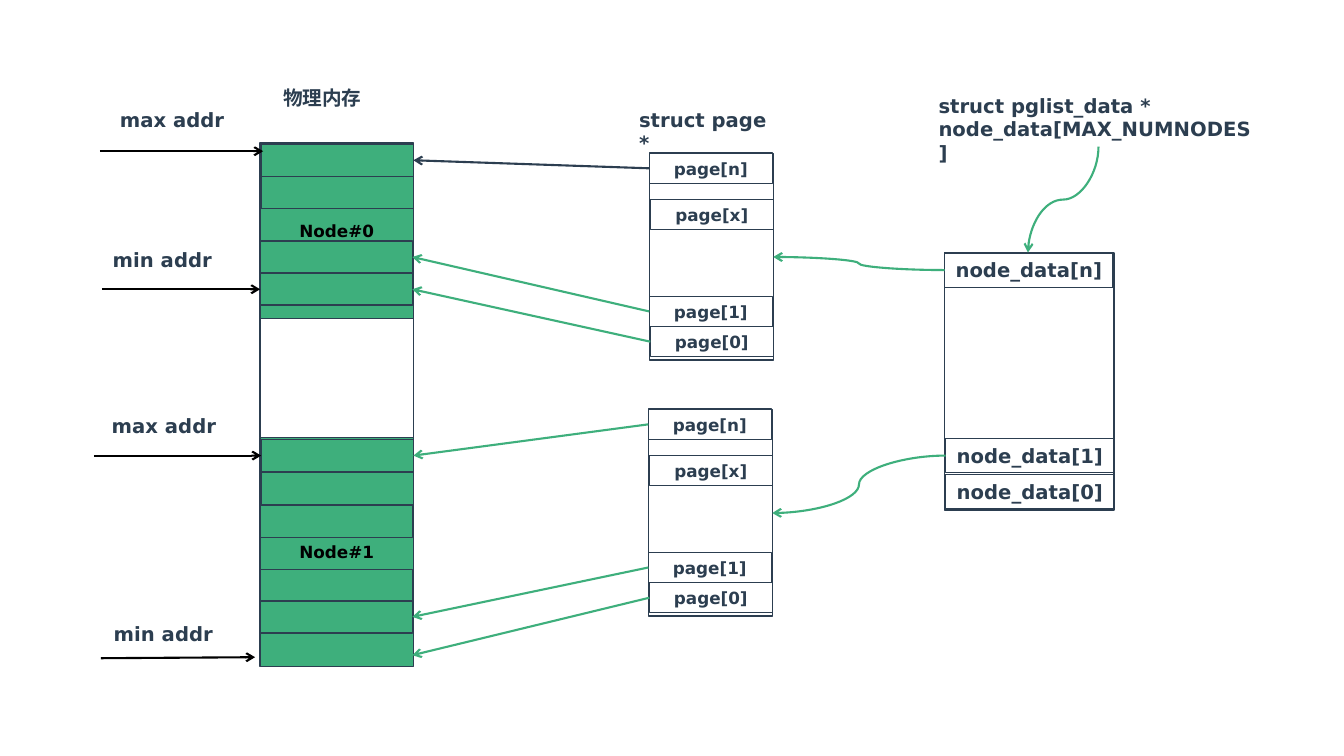
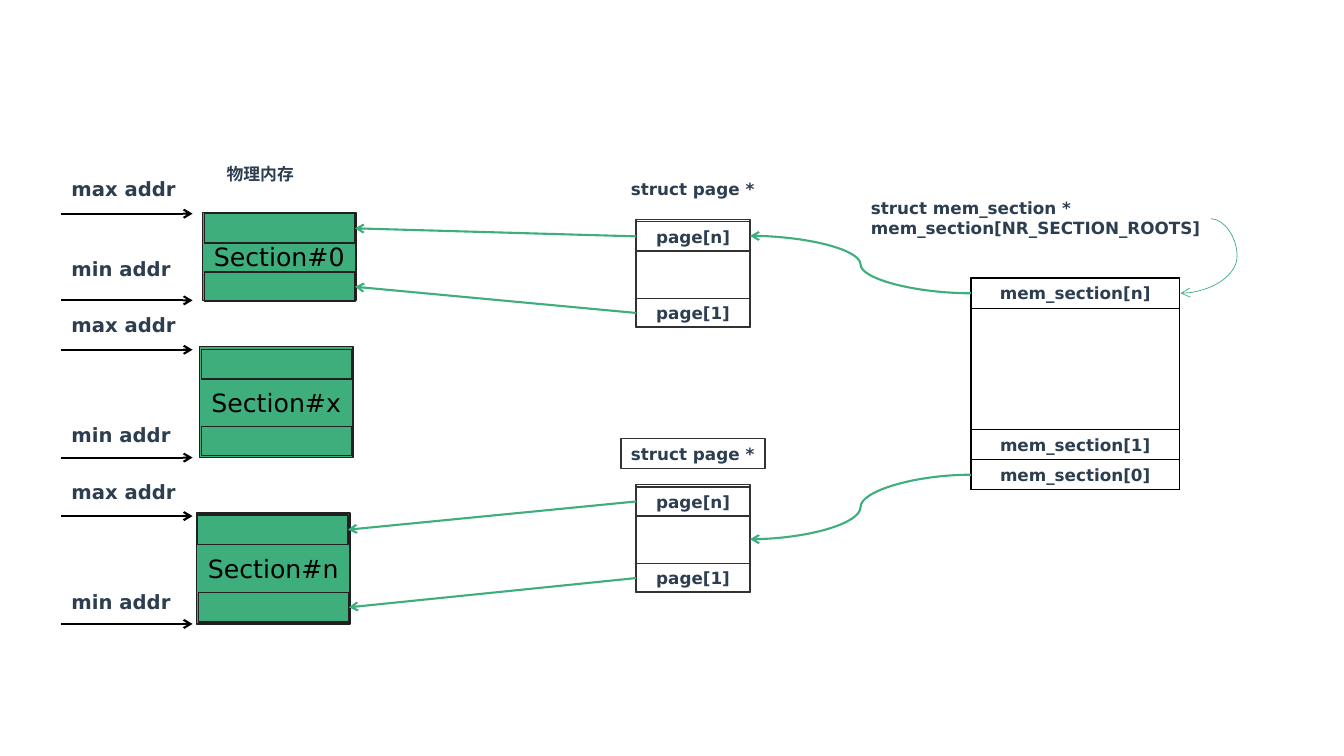
from dataclasses import dataclass
from typing import NamedTuple, Optional, Union

from lxml import etree
from pptx import Presentation
from pptx.dml.color import RGBColor
from pptx.enum.shapes import MSO_CONNECTOR, MSO_SHAPE
from pptx.enum.text import MSO_ANCHOR, MSO_AUTO_SIZE, PP_ALIGN
from pptx.oxml.ns import qn
from pptx.shapes.autoshape import Shape
from pptx.shapes.connector import Connector
from pptx.slide import Slide
from pptx.util import Inches, Pt

RECTANGLE = MSO_SHAPE.RECTANGLE
STRAIGHT, CURVE = MSO_CONNECTOR.STRAIGHT, MSO_CONNECTOR.CURVE
LEFT, CENTER = PP_ALIGN.LEFT, PP_ALIGN.CENTER
TOP, MIDDLE = MSO_ANCHOR.TOP, MSO_ANCHOR.MIDDLE
FIT_SHAPE = MSO_AUTO_SIZE.SHAPE_TO_FIT_TEXT
LEFT_SIDE, RIGHT_SIDE = 1, 3


@dataclass(frozen=True)
class Theme:
    font: str = "DejaVu Sans"
    green: str = "3EAF7C"
    navy: str = "2C3E50"
    black: str = "000000"
    charcoal: str = "202020"
    gray: str = "323232"
    small: float = 12
    medium: float = 14
    large: float = 18
    outline: float = 1
    arrow: float = 1.5
    thin_arrow: float = 0.5


THEME = Theme()


class Point(NamedTuple):
    x: float
    y: float


class Joint(NamedTuple):
    shape: Shape
    side: int


class Frame(NamedTuple):
    left: float
    top: float
    width: float
    height: float


class Row(NamedTuple):
    """A cell placed relative to the corner of its stack."""
    dx: float
    dy: float
    text: str = ""


@dataclass(frozen=True)
class Stack:
    """An outer rectangle with cells of one size inside it."""
    frame: Frame
    rows: tuple[Row, ...]
    row_width: float
    row_height: float
    line: str = THEME.navy
    row_size: float = THEME.small
    fill: Optional[str] = None
    title: str = ""
    title_size: float = THEME.small
    title_bold: bool = True


class Label(NamedTuple):
    text: str
    frame: Frame
    size: float = THEME.medium
    wrap: bool = True
    line: Optional[str] = None


# Shared drawing functions
def rgb(color: str) -> RGBColor:
    return RGBColor.from_string(color)


def write_text(shape: Shape, text: str, *, size: float, color: str = THEME.navy,
               bold: bool = True, align: PP_ALIGN = CENTER,
               anchor: MSO_ANCHOR = MIDDLE, wrap: bool = True) -> None:
    text_frame = shape.text_frame
    text_frame.word_wrap = wrap
    text_frame.vertical_anchor = anchor
    for index, line in enumerate(text.split("\n")):
        paragraph = text_frame.add_paragraph() if index else text_frame.paragraphs[0]
        paragraph.alignment = align
        run = paragraph.add_run()
        run.text = line
        run.font.name = THEME.font
        run.font.size = Pt(size)
        run.font.bold = bold
        run.font.color.rgb = rgb(color)


def add_box(slide: Slide, frame: Frame, line: str, fill: Optional[str] = None) -> Shape:
    shape = slide.shapes.add_shape(RECTANGLE, *map(Inches, frame))
    shape.shadow.inherit = False
    if fill:
        shape.fill.solid()
        shape.fill.fore_color.rgb = rgb(fill)
    else:
        shape.fill.background()
    shape.line.color.rgb = rgb(line)
    shape.line.width = Pt(THEME.outline)
    return shape


def add_stack(slide: Slide, stack: Stack) -> list[Shape]:
    body = add_box(slide, stack.frame, stack.line, stack.fill)
    if stack.title:
        write_text(body, stack.title, size=stack.title_size, color=THEME.black,
                   bold=stack.title_bold)
    cells = []
    for row in stack.rows:
        frame = Frame(stack.frame.left + row.dx, stack.frame.top + row.dy,
                      stack.row_width, stack.row_height)
        cell = add_box(slide, frame, stack.line)
        if row.text:
            write_text(cell, row.text, size=stack.row_size)
        cells.append(cell)
    return cells


def add_label(slide: Slide, label: Label) -> None:
    shape = slide.shapes.add_textbox(*map(Inches, label.frame))
    write_text(shape, label.text, size=label.size, align=LEFT, anchor=TOP,
               wrap=label.wrap)
    shape.text_frame.auto_size = FIT_SHAPE
    if label.line:
        shape.line.color.rgb = rgb(label.line)
        shape.line.width = Pt(THEME.outline)


def style_arrow(connector: Connector, color: str, width: float) -> None:
    connector.line.color.rgb = rgb(color)
    connector.line.width = Pt(width)
    line = connector.line._get_or_add_ln()
    etree.SubElement(line, qn("a:tailEnd"), type="arrow")
    etree.SubElement(connector._element.spPr, qn("a:effectLst"))


def add_arrow(slide: Slide, start: Union[Point, Joint], end: Union[Point, Joint],
              color: str = THEME.green) -> None:
    origin = Point(0, 0)
    begin_point = start if isinstance(start, Point) else origin
    end_point = end if isinstance(end, Point) else origin
    connector = slide.shapes.add_connector(
        STRAIGHT, *map(Inches, (*begin_point, *end_point)))
    if isinstance(start, Joint):
        connector.begin_connect(start.shape, start.side)
    if isinstance(end, Joint):
        connector.end_connect(end.shape, end.side)
    style_arrow(connector, color, THEME.arrow)


def add_curve(slide: Slide, start: Point, end: Point, *, bend: float = 0.5,
              rotation: int = 0, width: float = THEME.arrow) -> None:
    """Start and end are the corners before the curve is rotated."""
    connector = slide.shapes.add_connector(CURVE, *map(Inches, (*start, *end)))
    properties = connector._element.spPr
    if rotation:
        properties.find(qn("a:xfrm")).set("rot", str(rotation * 60000))
    geometry = properties.find(qn("a:prstGeom"))
    adjustments = geometry.find(qn("a:avLst"))
    if adjustments is None:
        adjustments = etree.SubElement(geometry, qn("a:avLst"))
    etree.SubElement(adjustments, qn("a:gd"), name="adj1",
                     fmla=f"val {round(bend * 100000)}")
    style_arrow(connector, THEME.green, width)


def join_cells(slide: Slide, source: Shape, target: Shape,
               color: str = THEME.green) -> None:
    add_arrow(slide, Joint(source, LEFT_SIDE), Joint(target, RIGHT_SIDE), color)


# Slide 1: memory nodes
def build_nodes(slide: Slide) -> None:
    def memory_node(top: float, height: float, title: str, rows: tuple[Row, ...]) -> Stack:
        return Stack(Frame(2.58, top, 1.52, height), rows, 1.51, 0.32,
                     fill=THEME.green, title=title)

    node_0 = add_stack(slide, memory_node(1.42, 1.74, "Node#0", (
        Row(0.01, 0.01), Row(0.01, 0.33), Row(0, 0.97), Row(0, 1.29))))
    add_box(slide, Frame(2.58, 3.02, 1.52, 1.32), THEME.navy)
    node_1 = add_stack(slide, memory_node(4.34, 2.27, "Node#1", (
        Row(0.01, 0.02), Row(0.01, 0.35), Row(0, 0.67), Row(0, 1.31), Row(0, 1.62))))

    # Page tables and node table
    page_rows = (Row(0, 0, "page[n]"), Row(0.01, 0.46, "page[x]"),
                 Row(0, 1.42, "page[1]"), Row(0.01, 1.72, "page[0]"))
    pages_0, pages_1 = (
        add_stack(slide, Stack(Frame(left, top, 1.23, 2.05), page_rows, 1.22, 0.3))
        for left, top in ((6.44, 1.52), (6.43, 4.06)))
    add_stack(slide, Stack(
        Frame(9.37, 2.51, 1.68, 2.55),
        (Row(0, 0, "node_data[n]"), Row(0.01, 1.84, "node_data[1]"),
         Row(0.01, 2.2, "node_data[0]")),
        1.67, 0.34, row_size=THEME.medium))

    # Labels
    for label in (
        Label("物理内存", Frame(2.71, 0.8, 1.26, 0.34)),
        Label("max addr", Frame(1.09, 1.02, 1.49, 0.34)),
        Label("min addr", Frame(1.02, 2.41, 1.57, 0.34)),
        Label("max addr", Frame(1.01, 4.06, 1.49, 0.34)),
        Label("min addr", Frame(1.03, 6.12, 1.57, 0.34)),
        Label("struct page *", Frame(6.24, 1.02, 1.5, 0.34)),
        Label("struct pglist_data *\nnode_data[MAX_NUMNODES]",
              Frame(9.21, 0.88, 3.38, 0.57)),
    ):
        add_label(slide, label)

    # Address arrows
    for start, end in (
        (Point(0.99, 1.5), Point(2.61, 1.5)),
        (Point(1.01, 2.87), Joint(node_0[3], LEFT_SIDE)),
        (Point(0.93, 4.52), Joint(node_1[0], LEFT_SIDE)),
        (Point(1, 6.53), Point(2.53, 6.52)),
    ):
        add_arrow(slide, start, end, THEME.black)

    # Page arrows
    join_cells(slide, pages_0[0], node_0[0], THEME.navy)
    for source, target in ((pages_0[3], node_0[3]), (pages_0[2], node_0[2]),
                           (pages_1[0], node_1[0]), (pages_1[2], node_1[4])):
        join_cells(slide, source, target)
    add_arrow(slide, Joint(pages_1[3], LEFT_SIDE), Point(4.09, 6.5))

    # Curves between the tables
    add_curve(slide, Point(10.02, 1.63), Point(11.07, 2.33), rotation=90)
    add_curve(slide, Point(9.38, 4.52), Point(7.66, 5.09))
    add_curve(slide, Point(9.37, 2.68), Point(7.67, 2.55))


# Slide 2: memory sections
def build_sections(slide: Slide) -> None:
    def section(name: str, left: float, top: float, height: float,
                rows: tuple[Row, ...]) -> list[Shape]:
        return add_stack(slide, Stack(
            Frame(left, top, 1.52, height), rows, 1.49, 0.29, line=THEME.charcoal,
            fill=THEME.green, title=name, title_size=THEME.large, title_bold=False))

    section_0 = section("Section#0", 2.01, 2.11, 0.87, (Row(0.02, 0.01), Row(0.02, 0.59)))
    section("Section#x", 1.98, 3.44, 1.1, (Row(0.02, 0.03), Row(0.02, 0.79)))
    section_n = section("Section#n", 1.95, 5.09, 1.1, (Row(0.01, 0.02), Row(0.02, 0.79)))

    # Page tables and section table
    page_rows = (Row(0, 0.02, "page[n]"), Row(0, 0.78, "page[1]"))
    pages_0, pages_n = (
        add_stack(slide, Stack(Frame(6.31, top, 1.13, 1.06), page_rows, 1.13, 0.29,
                               line=THEME.gray))
        for top in (2.18, 4.81))
    add_stack(slide, Stack(
        Frame(9.63, 2.76, 2.07, 2.1),
        (Row(0, 0, "mem_section[n]"), Row(0, 1.5, "mem_section[1]"),
         Row(0, 1.8, "mem_section[0]")),
        2.07, 0.3, line=THEME.black))

    # Labels
    for label in (
        Label("物理内存", Frame(2.15, 1.58, 1.26, 0.3), THEME.small),
        Label("struct page *", Frame(6.16, 1.72, 1.43, 0.3), THEME.small, False),
        Label("struct page *", Frame(6.16, 4.35, 1.43, 0.3), THEME.small, False,
              THEME.gray),
        Label("struct mem_section *\nmem_section[NR_SECTION_ROOTS]",
              Frame(8.54, 1.91, 3.47, 0.5), THEME.small, False),
    ):
        add_label(slide, label)

    # Address labels and arrows
    for text, label_top, arrow_y in (
        ("max addr", 1.71, 2.12), ("min addr", 2.5, 2.98),
        ("max addr", 3.06, 3.47), ("min addr", 4.15, 4.54),
        ("max addr", 4.71, 5.12), ("min addr", 5.8, 6.19),
    ):
        add_label(slide, Label(text, Frame(0.61, label_top, 1.57, 0.34)))
        add_arrow(slide, Point(0.61, arrow_y), Point(1.91, arrow_y), THEME.black)

    # Page arrows
    for source, target in zip(pages_0 + pages_n, section_0 + section_n):
        join_cells(slide, source, target)

    # Curves between the tables
    add_curve(slide, Point(12.01, 2.17), Point(11.71, 2.91), bend=-0.87,
              width=THEME.thin_arrow)
    add_curve(slide, Point(9.63, 2.91), Point(7.44, 2.34))
    add_curve(slide, Point(9.63, 4.71), Point(7.44, 5.35))


def main() -> None:
    presentation = Presentation()
    presentation.slide_width = Inches(13.33)
    presentation.slide_height = Inches(7.5)
    blank_layout = presentation.slide_layouts[6]
    for build in (build_nodes, build_sections):
        build(presentation.slides.add_slide(blank_layout))
    presentation.save("out.pptx")


if __name__ == "__main__":
    main()
